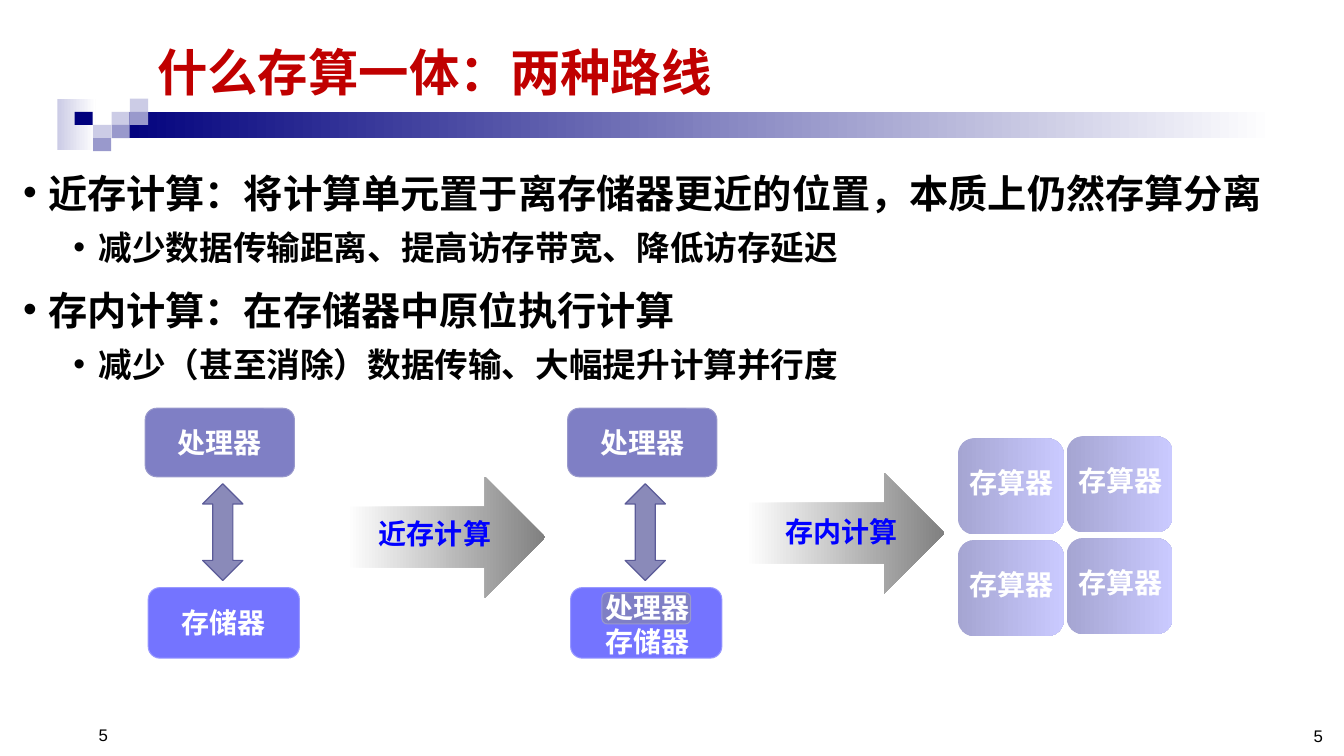
from dataclasses import dataclass
from typing import Optional

import pptx
import pptx.dml.color
import pptx.enum.shapes
import pptx.enum.text
import pptx.oxml
import pptx.oxml.ns
import pptx.util

Inches = pptx.util.Inches
Kind = pptx.enum.shapes.MSO_SHAPE
Align = pptx.enum.text.PP_ALIGN
Anchor = pptx.enum.text.MSO_ANCHOR

SANS = "Noto Sans CJK SC"
HUES = {
    "navy": "00007D", "mist": "CCCCE6", "lilac": "9999CC", "white": "FFFFFF",
    "red": "C00000", "black": "000000", "blue": "0000FF", "slate": "7F7FC5",
    "iris": "7474FF", "rim": "9999FF", "steel": "8A8AB9", "edge": "5B5B98",
    "dusk": "A5A5D2", "dawn": "CACAFF", "gray": "808080",
}


@dataclass
class Block:
    left: float
    top: float
    width: float
    height: float
    fill: str
    fade: Optional[str] = None
    line: Optional[str] = None
    weight: float = 0.75
    kind: Kind = Kind.RECTANGLE


@dataclass
class Label:
    text: str
    left: float
    top: float
    width: float
    height: float = 0.44
    size: int = 20
    hue: str = "white"
    face: str = SANS
    bold: bool = True
    wrap: bool = False
    align: Align = Align.LEFT
    anchor: Anchor = Anchor.TOP


@dataclass
class Point:
    text: str
    level: int


def tint(name: str) -> pptx.dml.color.RGBColor:
    return pptx.dml.color.RGBColor.from_string(HUES[name])


def assign(target: object, values: dict) -> None:
    for key, value in values.items():
        setattr(target, key, value)


def draw_block(slide, item: Block) -> None:
    shape = slide.shapes.add_shape(
        item.kind, Inches(item.left), Inches(item.top),
        Inches(item.width), Inches(item.height))
    shape.shadow.inherit = False
    if item.fade:
        shape.fill.gradient()
        shape.fill.gradient_angle = 0
        for stop, name in zip(shape.fill.gradient_stops, (item.fill, item.fade)):
            stop.color.rgb = tint(name)
    else:
        shape.fill.solid()
        shape.fill.fore_color.rgb = tint(item.fill)
    if item.line:
        shape.line.color.rgb = tint(item.line)
        shape.line.width = pptx.util.Pt(item.weight)
    else:
        shape.line.fill.background()


def write_run(para, text: str, size: int, hue: str, face: str, bold: bool) -> None:
    run = para.add_run()
    run.text = text
    run.font.color.rgb = tint(hue)
    assign(run.font, {"size": pptx.util.Pt(size), "name": face, "bold": bold})
    east = pptx.oxml.parse_xml(
        f'<a:ea {pptx.oxml.ns.nsdecls("a")} typeface="{SANS}"/>')
    run.font._element.append(east)


def draw_label(slide, item: Label) -> None:
    frame = slide.shapes.add_textbox(
        Inches(item.left), Inches(item.top),
        Inches(item.width), Inches(item.height)).text_frame
    assign(frame, {"word_wrap": item.wrap, "vertical_anchor": item.anchor})
    para = frame.paragraphs[0]
    para.alignment = item.align
    write_run(para, item.text, item.size, item.hue, item.face, item.bold)


def draw_points(slide, points: list[Point]) -> None:
    frame = slide.shapes.add_textbox(
        Inches(0.13), Inches(1.58), Inches(13.08), Inches(5.83)).text_frame
    frame.word_wrap = True
    for rank, point in enumerate(points):
        para = frame.add_paragraph() if rank else frame.paragraphs[0]
        space = (10, 5)[point.level] if rank else 0
        assign(para, {"level": point.level, "line_spacing": 1.1,
                      "space_before": pptx.util.Pt(space)})
        props = para._p.get_or_add_pPr()
        props.set("marL", str(Inches(0.25 + 0.5 * point.level)))
        props.set("indent", str(Inches(-0.25)))
        for tag in ('buFont typeface="Arial"', 'buChar char="•"'):
            name, rest = tag.split(" ", 1)
            props.append(pptx.oxml.parse_xml(
                f'<a:{name} {pptx.oxml.ns.nsdecls("a")} {rest}/>'))
        write_run(para, point.text, (28, 24)[point.level], "black", "Arial", True)


def draw_banner(slide) -> None:
    draw_block(slide, Block(0.57, 0.98, 0.38, 0.51, "mist", "white"))
    draw_block(slide, Block(1.11, 1.11, 11.53, 0.26, "navy", "white"))
    cells = [(2, 1, "mist"), (3, 0, "mist"), (3, 1, "lilac"), (1, 2, "mist"),
             (0, 1, "navy"), (2, 2, "lilac"), (1, 3, "lilac")]
    for col, row, hue in cells:
        draw_block(slide, Block(0.74 + 0.183 * col, 0.98 + 0.13 * row,
                                0.18, 0.13, hue))


def draw_stack(slide, left: float, note: Label) -> None:
    draw_block(slide, Block(left, 4.05, 1.48, 0.68, "slate", line="lilac",
                            kind=Kind.ROUNDED_RECTANGLE))
    draw_label(slide, Label("处理器", left + 0.22, 4.17, 1.04, align=Align.CENTER))
    draw_block(slide, Block(left + 0.03, 5.83, 1.5, 0.7, "iris", line="rim",
                            kind=Kind.ROUNDED_RECTANGLE))
    draw_label(slide, note)
    draw_block(slide, Block(left + 0.57, 4.8, 0.4, 0.96, "steel", line="edge",
                            weight=0.85, kind=Kind.UP_DOWN_ARROW))


def draw_tiles(slide) -> None:
    for col, left in enumerate((9.5, 10.58)):
        for row in range(2):
            top = 4.35 + 1.01 * row - 0.02 * col
            draw_block(slide, Block(left, top, 1.05, 0.95, "dusk", "dawn",
                                    kind=Kind.ROUNDED_RECTANGLE))
            draw_label(slide, Label("存算器", left + 0.02, top + 0.22, 1.27,
                                    wrap=True))


def main() -> None:
    deck = pptx.Presentation()
    assign(deck, {"slide_width": Inches(13.33), "slide_height": Inches(7.5)})
    slide = deck.slides.add_slide(deck.slide_layouts[6])

    draw_banner(slide)
    draw_label(slide, Label("什么存算一体：两种路线", 1.46, 0.36, 11.49, 0.72,
                            size=36, hue="red", wrap=True))
    draw_points(slide, [
        Point("近存计算：将计算单元置于离存储器更近的位置，本质上仍然存算分离", 0),
        Point("减少数据传输距离、提高访存带宽、降低访存延迟", 1),
        Point("存内计算：在存储器中原位执行计算", 0),
        Point("减少（甚至消除）数据传输、大幅提升计算并行度", 1),
    ])

    draw_stack(slide, 1.44, Label("存储器", 1.7, 5.96, 1.04))
    draw_stack(slide, 5.63, Label("存储器", 5.91, 6.15, 1.04))
    draw_block(slide, Block(5.97, 5.88, 0.88, 0.31, "slate", line="lilac",
                            kind=Kind.ROUNDED_RECTANGLE))
    draw_label(slide, Label("处理器", 5.91, 5.81, 1.04))

    routes = [(3.44, 4.73, Label("近存计算", 3.66, 5.08, 1.33, hue="blue")),
              (7.4, 4.69, Label("存内计算", 7.69, 5.06, 1.33, hue="blue"))]
    for left, top, label in routes:
        draw_block(slide, Block(left, top, 1.97, 1.2, "white", "gray",
                                kind=Kind.RIGHT_ARROW))
        draw_label(slide, label)
    draw_tiles(slide)

    for left, top, align in ((0.88, 7.14, Align.LEFT), (10.11, 7.15, Align.RIGHT)):
        draw_label(slide, Label("5", left, top, 3.11, 0.3, size=12, hue="black",
                                face="Arial", bold=False, wrap=True,
                                align=align, anchor=Anchor.BOTTOM))
    deck.save("out.pptx")


if __name__ == "__main__":
    main()
